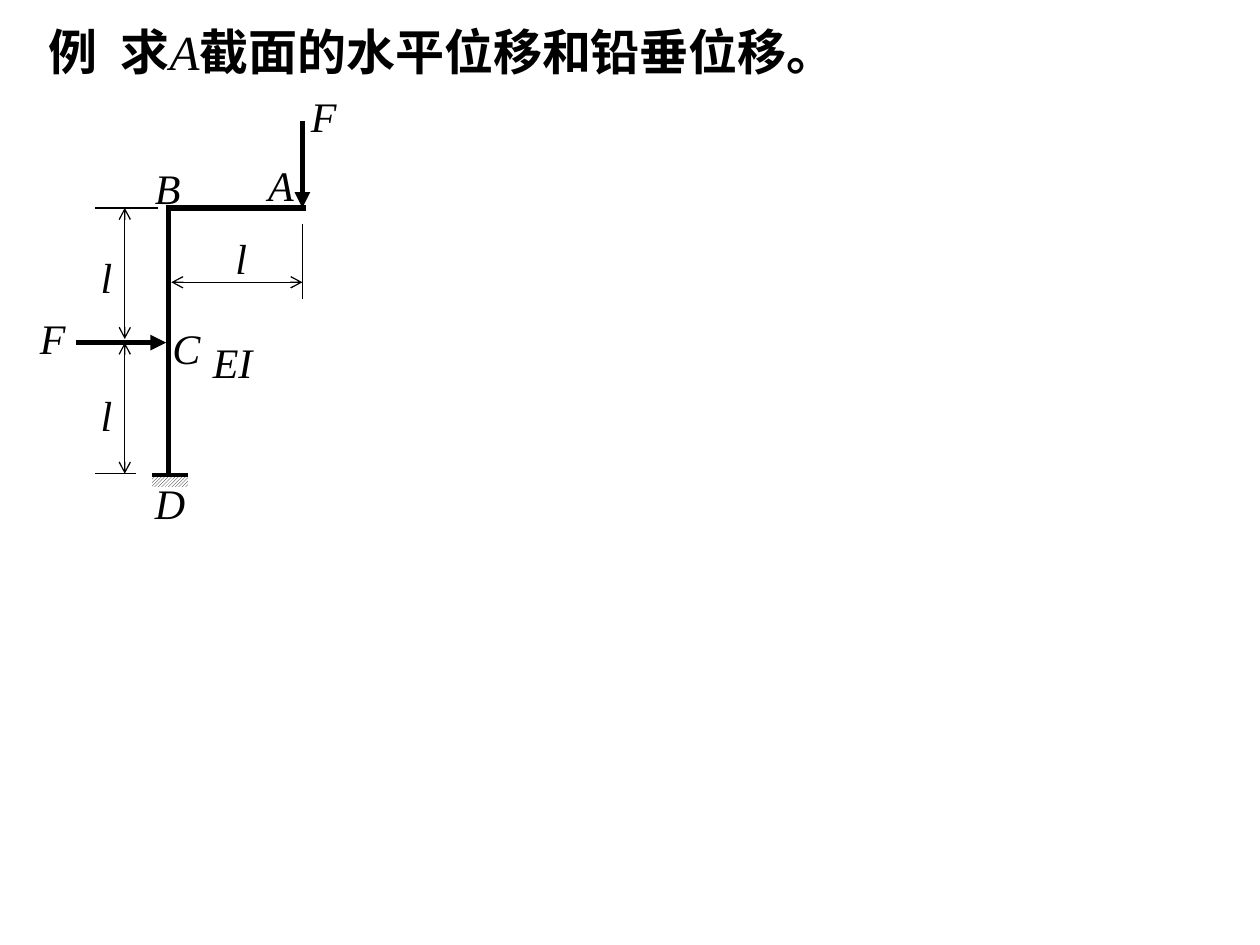
from lxml import etree
from pptx import Presentation
from pptx import util as u
from pptx.dml import color
from pptx.enum import dml, shapes, text
from pptx.oxml import ns

Pt = u.Pt
THEME = {
    "font": "Times New Roman",
    "ink": color.RGBColor(0, 0, 0),
    "paper": color.RGBColor(255, 255, 255),
    "title": 28, "label": 24,
    "bar": 3, "edge": 2.25, "thin": 0.75,
}
POST, TIP, TOP, MID, BASE = 96.5, 172.8, 118.8, 195.8, 270.7
DIM, FAR, SPAN = 71.3, 54, 161.3

TITLE = [("例\t求", {"bold": True}), ("A", {"italic": True}),
         ("截面的水平位移和铅垂位移。", {"bold": True})]
LABELS = [
    ("F", 170.6, 48.2, 28.8), ("F", 15.8, 175, 28.8),
    ("l", 127.4, 129.6, 20.9), ("l", 50.4, 140.4, 20.9), ("l", 50.4, 218.9, 20.9),
    ("EI", 114.5, 188.6, 37.4), ("A", 146.2, 87.8, 28.8), ("B", 81.4, 89.3, 28.8),
    ("C", 91.4, 180.7, 30.2), ("D", 81.4, 269.3, 31.7),
]
COLUMN = (POST, 117.4, POST, BASE)
MASKS = [(85.7, 270, 85.7, 283), (108.7, 267.8, 108.7, 281.5), (82.1, 279.4, 110.9, 279.4)]
BEAM = (POST, TOP, 175, TOP)
LOADS = [(TIP, 69.1, TIP, TOP), (43.2, MID, 95, MID)]
MARKS = [(TIP, 128.2, TIP, 170.6), (90, TOP, FAR, TOP), (77.8, BASE, FAR, BASE)]
SIZES = [(97.9, SPAN, TIP, SPAN), (DIM, TOP, DIM, 193.7), (DIM, MID, DIM, BASE)]


def put(obj, vals):
    """Set each named value on an object."""
    for key, val in vals.items():
        setattr(obj, key, val)


def line(slide, ends, width, ink="ink", head=None, tail=None):
    """Draw a straight line with optional arrowheads."""
    link = slide.shapes.add_connector(shapes.MSO_CONNECTOR.STRAIGHT, *map(Pt, ends))
    link.line.color.rgb = THEME[ink]
    link.line.width = Pt(THEME[width])
    props = link._element.spPr
    edge = props.find(ns.qn("a:ln"))
    for tag, kind in (("a:headEnd", head), ("a:tailEnd", tail)):
        if kind:
            etree.SubElement(edge, ns.qn(tag), type=kind)
    etree.SubElement(props, ns.qn("a:effectLst"))


def write(slide, runs, size, left, top, width, height, tab=None):
    """Add a box with one paragraph of styled runs."""
    box = slide.shapes.add_textbox(*map(Pt, (left, top, width, height)))
    put(box.text_frame, {"word_wrap": False,
                         "auto_size": text.MSO_AUTO_SIZE.SHAPE_TO_FIT_TEXT})
    para = box.text_frame.paragraphs[0]
    if tab:
        stops = etree.SubElement(para._p.get_or_add_pPr(), ns.qn("a:tabLst"))
        etree.SubElement(stops, ns.qn("a:tab"), pos=str(Pt(tab)), algn="l")
    for words, style in runs:
        run = para.add_run()
        run.text = words
        put(run.font, {"name": THEME["font"], "size": Pt(THEME[size]), **style})
        run.font.color.rgb = THEME["ink"]


def support(slide):
    """Draw the hatched ground and mask its outer edges."""
    base = slide.shapes.add_shape(shapes.MSO_SHAPE.RECTANGLE,
                                  *map(Pt, (85.7, 271.4, 23, 7.9)))
    base.shadow.inherit = False
    base.fill.patterned()
    base.fill.pattern = dml.MSO_PATTERN.LIGHT_UPWARD_DIAGONAL
    base.fill.fore_color.rgb = THEME["ink"]
    base.fill.back_color.rgb = THEME["paper"]
    base.line.color.rgb = THEME["ink"]
    base.line.width = Pt(THEME["edge"])
    for ends in MASKS:
        line(slide, ends, "edge", "paper")


def main():
    """Build the frame problem slide."""
    deck = Presentation()
    put(deck, {"slide_width": Pt(720), "slide_height": Pt(540)})
    slide = deck.slides.add_slide(deck.slide_layouts[6])
    write(slide, TITLE, "title", 20.9, 8.6, 467.3, 41, tab=41)
    line(slide, COLUMN, "bar")
    support(slide)
    line(slide, BEAM, "bar")
    for ends in LOADS:
        line(slide, ends, "bar", tail="triangle")
    for ends in MARKS:
        line(slide, ends, "thin")
    for ends in SIZES:
        line(slide, ends, "thin", head="arrow", tail="arrow")
    for words, left, top, width in LABELS:
        write(slide, [(words, {"italic": True})], "label", left, top, width, 36)
    deck.save("out.pptx")


if __name__ == "__main__":
    main()
